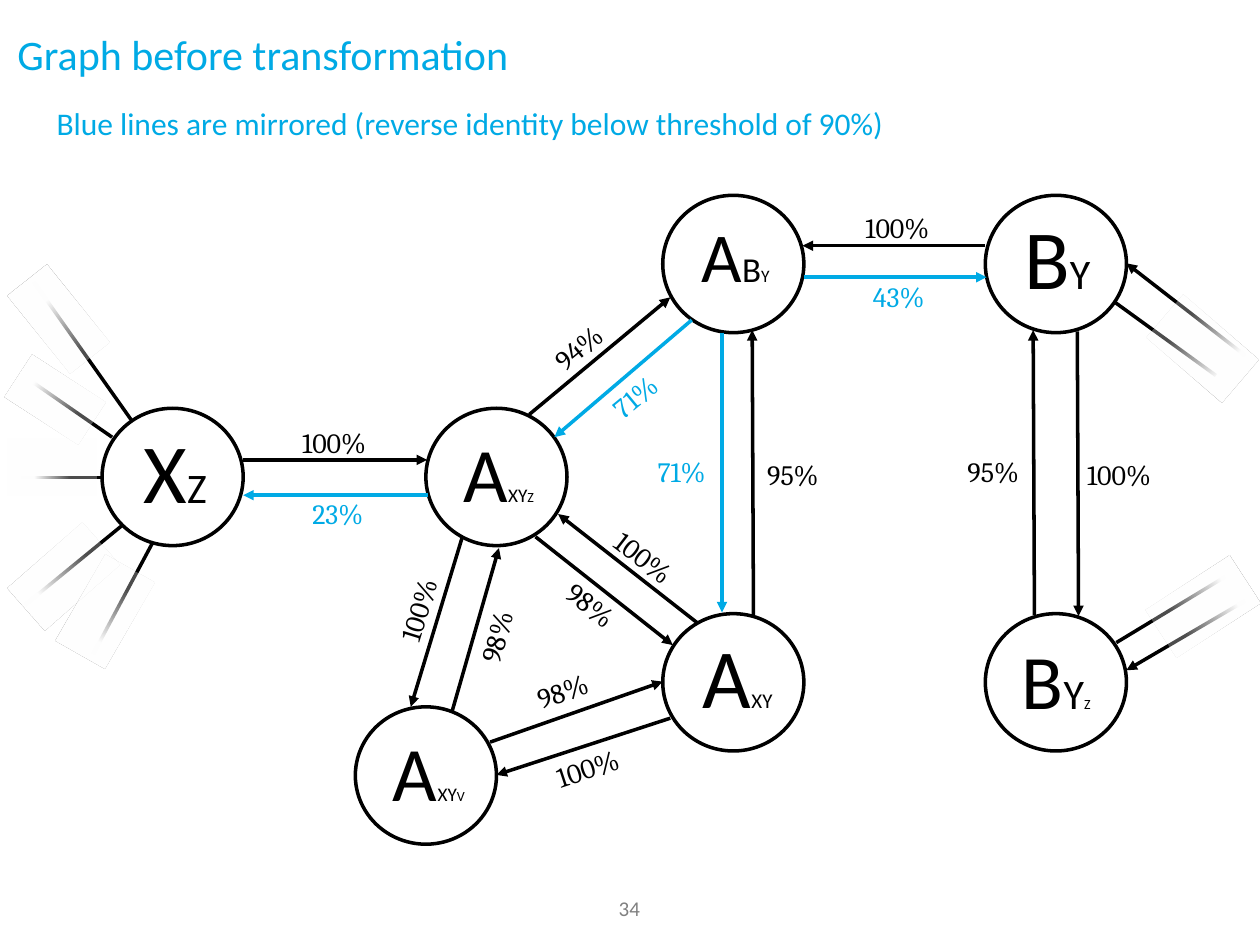
import lxml.etree
import pptx
import pptx.util
import pptx.dml.color
import pptx.enum.shapes
import pptx.enum.text
import pptx.oxml.ns

Inches, Pt = pptx.util.Inches, pptx.util.Pt
qn = pptx.oxml.ns.qn
ALIGN, ANCHOR = pptx.enum.text.PP_ALIGN, pptx.enum.text.MSO_ANCHOR
SHAPE = pptx.enum.shapes.MSO_SHAPE
COLORS = {"blue": "00AAE5", "black": "000000", "gray": "808080", "white": "FFFFFF"}

NODE_W, NODE_H = 1.12, 1.09
# node left, top; label left, top, width; label runs as (text, size)
NODES = [
    (0.81, 3.24, 1.04, 3.28, 0.71, [("X", 48), ("Z", 24)]),
    (3.38, 3.24, 3.58, 3.33, 0.77, [("A", 44), ("XY", 11), ("Z", 8)]),
    (5.26, 1.55, 5.47, 1.64, 0.77, [("A", 40), ("B", 20), ("Y", 10)]),
    (5.26, 4.87, 5.48, 4.91, 0.76, [("A", 48), ("XY", 12)]),
    (2.82, 5.61, 3.02, 5.70, 0.78, [("A", 44), ("XY", 11), ("V", 8)]),
    (7.82, 1.55, 8.03, 1.58, 0.73, [("B", 48), ("Y", 24)]),
    (7.82, 4.87, 8.01, 4.97, 0.75, [("B", 44), ("Y", 24), ("Z", 8)]),
]

# start x, y; arrow tip x, y; colour; identity; label left, top, rotation
EDGES = [
    (1.93, 3.65, 3.39, 3.65, "black", "100%", 2.30, 3.33, 0),
    (3.40, 3.93, 1.93, 3.93, "blue", "23%", 2.38, 3.89, 0),
    (4.20, 3.29, 5.32, 2.36, "black", "94%", 4.28, 2.56, 320.4),
    (5.49, 2.54, 4.40, 3.47, "blue", "71%", 4.74, 2.94, 320.4),
    (7.82, 1.95, 6.37, 1.95, "black", "100%", 6.77, 1.62, 0),
    (6.38, 2.20, 7.83, 2.20, "blue", "43%", 6.83, 2.17, 0),
    (5.73, 2.64, 5.73, 4.86, "blue", "71%", 5.12, 3.56, 0),
    (5.98, 4.88, 5.97, 2.62, "black", "95%", 5.99, 3.58, 0),
    (8.21, 4.88, 8.20, 2.62, "black", "95%", 7.58, 3.56, 0),
    (8.55, 2.63, 8.56, 4.89, "black", "100%", 8.53, 3.58, 0),
    (5.53, 4.94, 4.43, 4.08, "black", "100%", 4.75, 4.26, 37.6),
    (4.25, 4.26, 5.34, 5.12, "black", "98%", 4.38, 4.63, 37.6),
    (3.67, 4.26, 3.26, 5.61, "black", "100%", 2.94, 4.62, 287.2),
    (3.59, 5.64, 3.96, 4.35, "black", "98%", 3.62, 4.85, 286.1),
    (3.89, 5.89, 5.26, 5.41, "black", "98%", 4.16, 5.29, 341.7),
    (5.32, 5.70, 3.94, 6.15, "black", "100%", 4.31, 5.90, 341.7),
]

# links leaving the graph: start x, y; end x, y; arrow at the end
OUTER_LINKS = [
    (1.04, 3.33, 0.27, 2.24, False),
    (0.89, 3.47, 0.27, 3.04, False),
    (0.81, 3.79, 0.17, 3.79, False),
    (0.97, 4.17, 0.20, 4.80, False),
    (1.21, 4.31, 0.74, 5.19, False),
    (9.88, 2.82, 8.94, 2.09, True),
    (9.88, 4.77, 8.94, 5.32, True),
    (8.85, 2.40, 9.65, 2.98, False),
    (8.86, 5.10, 9.72, 4.58, False),
]

# white fades over the outer links: left, top, width, height, rotation, stops in %
FADES = [
    (0.07, 2.33, 0.79, 0.40, 51.4, (23, 65)),
    (0.09, 2.97, 0.69, 0.40, 33, (30, 70)),
    (0.06, 3.48, 0.71, 0.45, 0, (30, 70)),
    (0.11, 4.35, 0.79, 0.45, 318.7, (30, 70)),
    (0.44, 4.63, 0.79, 0.45, 299.8, (30, 70)),
    (9.15, 2.54, 0.79, 0.45, 220.7, (30, 70)),
    (9.15, 4.59, 0.79, 0.45, 147, (30, 70)),
]


def rgb(name):
    return pptx.dml.color.RGBColor.from_string(COLORS[name])


def add_text(slide, box, runs, font, color, wrap=False, rotation=0):
    s = slide.shapes.add_textbox(*map(Inches, box))
    s.rotation = rotation
    tf = s.text_frame
    tf.word_wrap = wrap
    if not wrap:
        tf.auto_size = pptx.enum.text.MSO_AUTO_SIZE.SHAPE_TO_FIT_TEXT
    for text, size in runs:
        r = tf.paragraphs[0].add_run()
        r.text = text
        r.font.size, r.font.name = Pt(size), font
        r.font.color.rgb = rgb(color)
    return tf


def add_line(slide, ends, color, arrow):
    line = slide.shapes.add_connector(
        pptx.enum.shapes.MSO_CONNECTOR.STRAIGHT, *map(Inches, ends))
    line.line.color.rgb = rgb(color)
    line.line.width = Pt(2)
    properties = line._element.spPr
    if arrow:
        lxml.etree.SubElement(properties.find(qn("a:ln")), qn("a:tailEnd"), type="triangle")
    lxml.etree.SubElement(properties, qn("a:effectLst"))


def add_node(slide, left, top):
    s = slide.shapes.add_shape(SHAPE.OVAL, *map(Inches, (left, top, NODE_W, NODE_H)))
    s.shadow.inherit = False
    s.fill.background()
    s.line.color.rgb = rgb("black")
    s.line.width = Pt(2)


def add_fade(slide, box, rotation, stops):
    """White rectangle, opaque at its left end and see-through at its right."""
    s = slide.shapes.add_shape(SHAPE.RECTANGLE, *map(Inches, box))
    s.rotation = rotation
    s.shadow.inherit = False
    s.line.fill.background()
    s.fill.gradient()
    s.fill.gradient_angle = 180
    for stop, position in zip(s.fill.gradient_stops, stops):
        stop.position = position / 100
        stop.color.rgb = rgb("white")
    first_color = next(s._element.spPr.iter(qn("a:srgbClr")))
    lxml.etree.SubElement(first_color, qn("a:alpha"), val="30000")


def main():
    prs = pptx.Presentation()
    prs.slide_width, prs.slide_height = Inches(10), Inches(7.5)
    slide = prs.slides.add_slide(prs.slide_layouts[6])

    title = add_text(slide, (0.04, 0.17, 9.61, 0.51),
                     [("Graph before transformation", 24)], "Calibri", "blue", True)
    title.vertical_anchor = ANCHOR.MIDDLE
    note = add_text(
        slide, (0.35, 0.78, 9.29, 0.47),
        [("Blue lines are mirrored (reverse identity below threshold of 90%)", 18)],
        "Calibri", "blue", True)
    note.paragraphs[0].space_before = Pt(12)
    number = add_text(slide, (3.83, 7.13, 2.33, 0.16), [("34", 12)],
                      "Calibri", "gray", True)
    number.margin_top = number.margin_bottom = 0
    number.vertical_anchor = ANCHOR.MIDDLE
    number.paragraphs[0].alignment = ALIGN.CENTER

    for left, top, text_left, text_top, width, runs in NODES:
        add_node(slide, left, top)
        height = 0.1 + runs[0][1] * 1.22 / 72
        add_text(slide, (text_left, text_top, width, height), runs, "Calibri", "black")
    for *ends, color, identity, left, top, rotation in EDGES:
        add_line(slide, ends, color, True)
        width = 0.78 if identity == "100%" else 0.65
        add_text(slide, (left, top, width, 0.37), [(identity, 16)],
                 "Cambria", color, rotation=rotation)
    for *ends, arrow in OUTER_LINKS:
        add_line(slide, ends, "black", arrow)
    for *box, rotation, stops in FADES:
        add_fade(slide, box, rotation, stops)
    prs.save("out.pptx")


if __name__ == "__main__":
    main()
